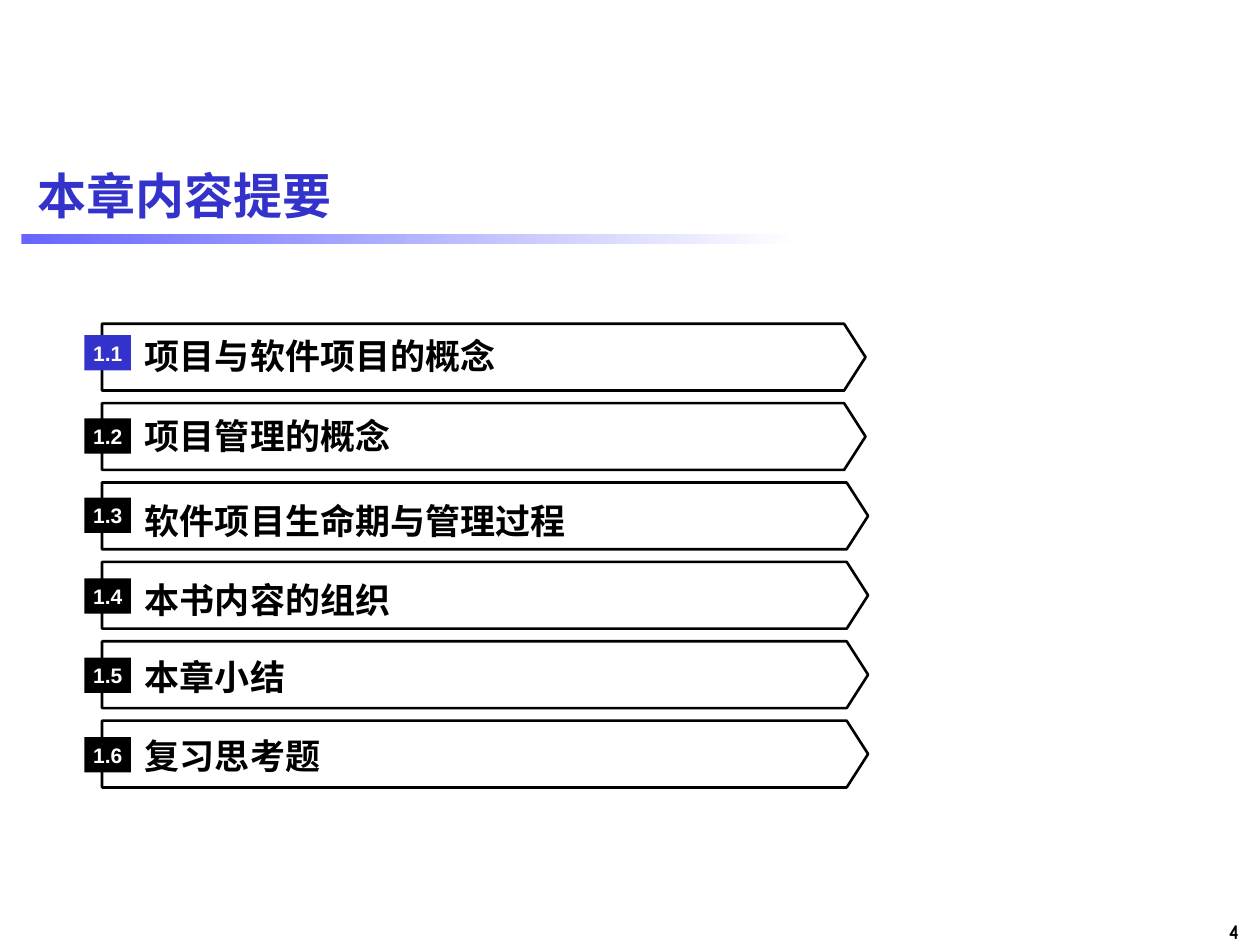
from pptx import Presentation
from pptx.dml.color import RGBColor
from pptx.enum.shapes import MSO_SHAPE as Shape
from pptx.enum.text import MSO_ANCHOR as Anchor, PP_ALIGN as Align
from pptx.util import Inches, Pt

BLACK = RGBColor(0x00, 0x00, 0x00)
WHITE = RGBColor(0xFF, 0xFF, 0xFF)
BLUE = RGBColor(0x33, 0x33, 0xCC)
LIGHT_BLUE = RGBColor(0x66, 0x66, 0xFF)

FIRST_ROW_TOP = 2.57
ROW_STEP = 0.63
ROW_HEIGHT = 0.53
ROW_LEFT = 0.81
POINT_LENGTH = 0.17

# number, heading, right tip, text offset, badge offset, badge colour
SECTIONS = [
    ("1.1", "项目与软件项目的概念", 6.87, 0.05, 0.09, BLUE),
    ("1.2", "项目管理的概念", 6.87, 0.06, 0.12, BLACK),
    ("1.3", "软件项目生命期与管理过程", 6.89, 0.10, 0.12, BLACK),
    ("1.4", "本书内容的组织", 6.89, 0.10, 0.13, BLACK),
    ("1.5", "本章小结", 6.89, 0.08, 0.13, BLACK),
    ("1.6", "复习思考题", 6.89, 0.08, 0.13, BLACK),
]


def write_text(shape, text, font_name, size, color, align=Align.LEFT, margin=0.0):
    frame = shape.text_frame
    frame.word_wrap = True
    frame.vertical_anchor = Anchor.MIDDLE
    frame.margin_left = frame.margin_right = Inches(margin)
    frame.margin_top = frame.margin_bottom = Inches(margin / 2)
    paragraph = frame.paragraphs[0]
    paragraph.alignment = align
    run = paragraph.add_run()
    run.text = text
    run.font.name = font_name
    run.font.size = Pt(size)
    run.font.bold = True
    run.font.color.rgb = color


def add_bar(left, top, width, height):
    """Add a rectangle without outline or shadow; the caller fills it."""
    shape = slide.shapes.add_shape(
        Shape.RECTANGLE, Inches(left), Inches(top), Inches(width), Inches(height))
    shape.shadow.inherit = False
    shape.line.fill.background()
    return shape


presentation = Presentation()
presentation.slide_width = Inches(10)
presentation.slide_height = Inches(7.5)
slide = presentation.slides.add_slide(presentation.slide_layouts[6])

page_number = slide.shapes.add_textbox(
    Inches(9.01), Inches(7.24), Inches(0.92), Inches(0.3))
write_text(page_number, "4", "Comic Neue", 12, BLACK, Align.RIGHT, 0.1)

title_rule = add_bar(0.17, 1.86, 6.17, 0.08)
title_rule.fill.gradient()
title_rule.fill.gradient_angle = 0
for stop, position, color in zip(
        title_rule.fill.gradient_stops, (0, 1), (LIGHT_BLUE, WHITE)):
    stop.position = position
    stop.color.rgb = color

title = slide.shapes.add_textbox(
    Inches(0.2), Inches(1.15), Inches(9.61), Inches(0.79))
write_text(title, "本章内容提要", "Arial", 28, BLUE, margin=0.1)

for row, (number, heading, tip, text_offset, badge_offset, color) in enumerate(SECTIONS):
    top = FIRST_ROW_TOP + row * ROW_STEP
    bottom = top + ROW_HEIGHT
    shoulder = tip - POINT_LENGTH

    builder = slide.shapes.build_freeform(Inches(ROW_LEFT), Inches(top))
    corners = [(shoulder, top), (tip, top + ROW_HEIGHT / 2),
               (shoulder, bottom), (ROW_LEFT, bottom)]
    builder.add_line_segments([(Inches(x), Inches(y)) for x, y in corners], close=True)
    arrow = builder.convert_to_shape()
    arrow.shadow.inherit = False
    arrow.fill.background()
    arrow.line.color.rgb = BLACK
    arrow.line.width = Pt(1.5)

    label = slide.shapes.add_textbox(
        Inches(1.15), Inches(top + text_offset), Inches(5.32), Inches(0.4))
    write_text(label, heading, "Times New Roman", 20, BLACK)

    badge = add_bar(0.67, top + badge_offset, 0.37, 0.28)
    badge.fill.solid()
    badge.fill.fore_color.rgb = color
    write_text(badge, number, "Arial", 12, WHITE, Align.CENTER)

presentation.save("out.pptx")
